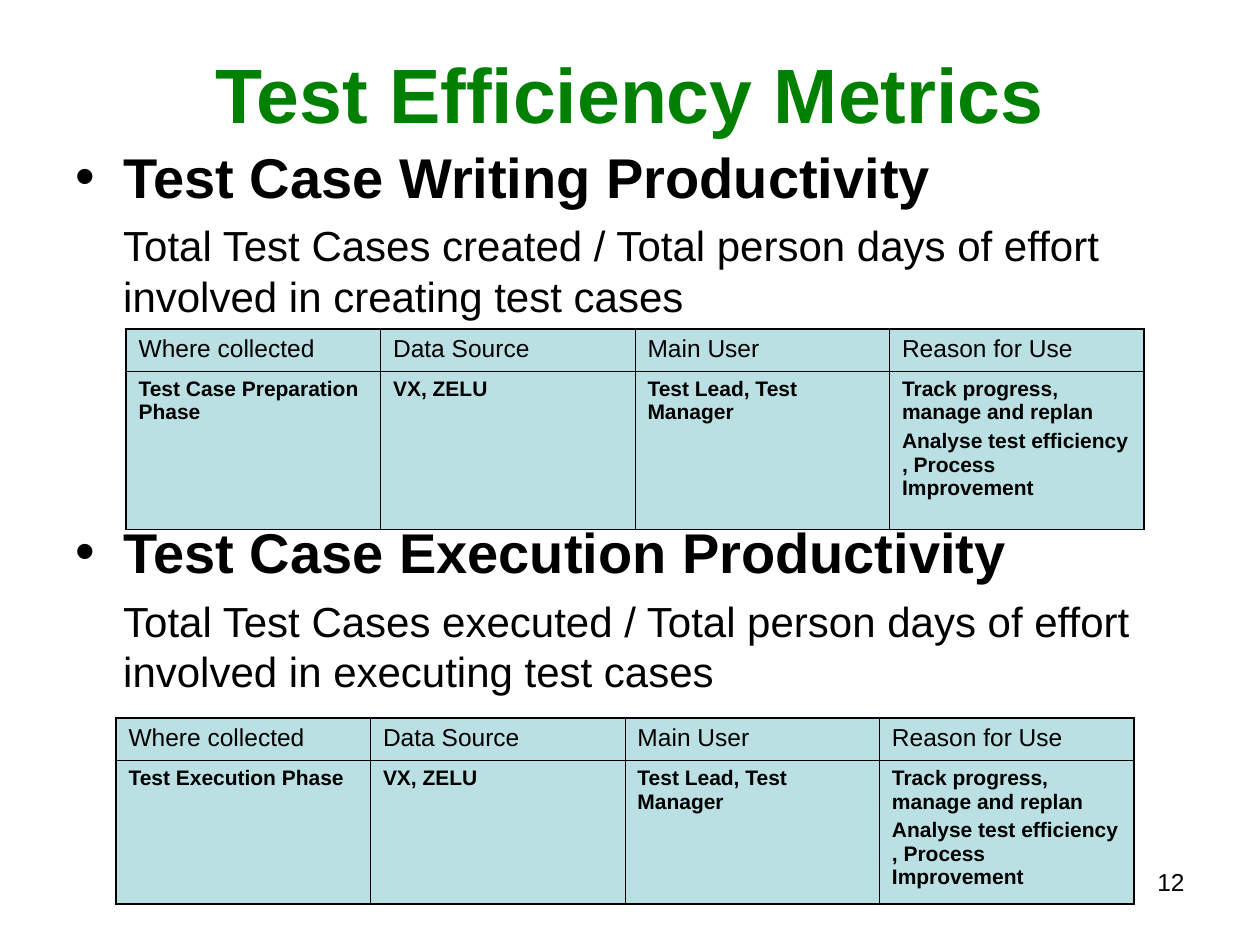
from lxml import etree
from pptx import Presentation
from pptx.dml.color import RGBColor
from pptx.enum import text
from pptx.oxml import ns
from pptx.util import Inches, Pt

BLACK = RGBColor(0x00, 0x00, 0x00)
GREEN = RGBColor(0x00, 0x80, 0x00)
PALE_TEAL = RGBColor(0xBB, 0xE0, 0xE3)
FONT = "Arial"
OUTER, INNER = 1.08, 0.45
INDENT = Inches(0.38)
HEADERS = ["Where collected", "Data Source", "Main User", "Reason for Use"]
REASONS = ["Track progress, manage and replan",
           "Analyse test efficiency , Process Improvement"]


def add_run(paragraph, words, size, bold=False, color=BLACK):
    """Add one styled run to a paragraph."""
    run = paragraph.add_run()
    run.text = words
    run.font.name = FONT
    run.font.size = Pt(size)
    run.font.bold = bold
    run.font.color.rgb = color


def add_frame(slide, box):
    """Add a wrapping text box and return its text frame."""
    frame = slide.shapes.add_textbox(*map(Inches, box)).text_frame
    frame.word_wrap = True
    return frame


def add_line(slide, box, words, size, align, bold=False, color=BLACK):
    """Add a single line of text, centred vertically in its box."""
    frame = add_frame(slide, box)
    frame.vertical_anchor = text.MSO_ANCHOR.MIDDLE
    frame.paragraphs[0].alignment = align
    add_run(frame.paragraphs[0], words, size, bold, color)


def add_metric(slide, box, name, formula):
    """Add a bulleted metric name with its formula beneath."""
    frame = add_frame(slide, box)
    heading, detail = frame.paragraphs[0], frame.add_paragraph()
    properties = heading._p.get_or_add_pPr()
    properties.set("marL", str(INDENT))
    properties.set("indent", str(-INDENT))
    etree.SubElement(properties, ns.qn("a:buFont"), typeface=FONT)
    etree.SubElement(properties, ns.qn("a:buChar"), char="•")
    add_run(heading, name, 32, bold=True)
    detail._p.get_or_add_pPr().set("marL", str(INDENT))
    detail.space_before = Pt(6)
    add_run(detail, formula, 24)


def set_borders(cell, widths):
    """Draw the left, right, top and bottom borders of a cell."""
    properties = cell._tc.get_or_add_tcPr()
    for side, width in zip("LRTB", widths):
        line = etree.SubElement(properties, ns.qn(f"a:ln{side}"), w=str(Pt(width)))
        fill = etree.SubElement(line, ns.qn("a:solidFill"))
        etree.SubElement(fill, ns.qn("a:srgbClr"), val=str(BLACK))


def add_usage_table(slide, box, row_heights, phase):
    """Add the table of where and why a metric is collected."""
    rows = [[[header] for header in HEADERS],
            [[phase], ["VX, ZELU"], ["Test Lead, Test Manager"], REASONS]]
    last_row, last_column = len(rows) - 1, len(HEADERS) - 1
    table = slide.shapes.add_table(len(rows), len(HEADERS), *map(Inches, box)).table
    table.horz_banding = False
    for row, height in zip(table.rows, row_heights):
        row.height = Inches(height)
    for r, row in enumerate(rows):
        for c, lines in enumerate(row):
            cell = table.cell(r, c)
            edges = (c == 0, c == last_column, r == 0, r == last_row)
            set_borders(cell, [OUTER if edge else INNER for edge in edges])
            cell.fill.solid()
            cell.fill.fore_color.rgb = PALE_TEAL
            for i, line in enumerate(lines):
                frame = cell.text_frame
                paragraph = frame.add_paragraph() if i else frame.paragraphs[0]
                if i:
                    paragraph.space_before = Pt(3)
                add_run(paragraph, line, 12 if r else 14, bold=r > 0)


def main():
    """Build and save the slide."""
    deck = Presentation()
    deck.slide_width, deck.slide_height = Inches(10), Inches(7.5)
    slide = deck.slides.add_slide(deck.slide_layouts[6])
    add_line(slide, (0.5, 0.3, 9, 0.87), "Test Efficiency Metrics", 44,
             text.PP_ALIGN.CENTER, bold=True, color=GREEN)
    add_metric(slide, (0.5, 1.08, 9, 1.5), "Test Case Writing Productivity",
               "Total Test Cases created / Total person days of effort "
               "involved in creating test cases")
    add_metric(slide, (0.5, 4.06, 9, 1.5), "Test Case Execution Productivity",
               "Total Test Cases executed / Total person days of effort "
               "involved in executing test cases")
    add_usage_table(slide, (1, 2.61, 8.08, 1.58), (0.32, 1.26),
                    "Test Case Preparation Phase")
    add_usage_table(slide, (0.92, 5.7, 8.08, 1.47), (0.33, 1.14),
                    "Test Execution Phase")
    add_line(slide, (7.17, 6.83, 2.33, 0.33), "12", 14, text.PP_ALIGN.RIGHT)
    deck.save("out.pptx")


if __name__ == "__main__":
    main()
